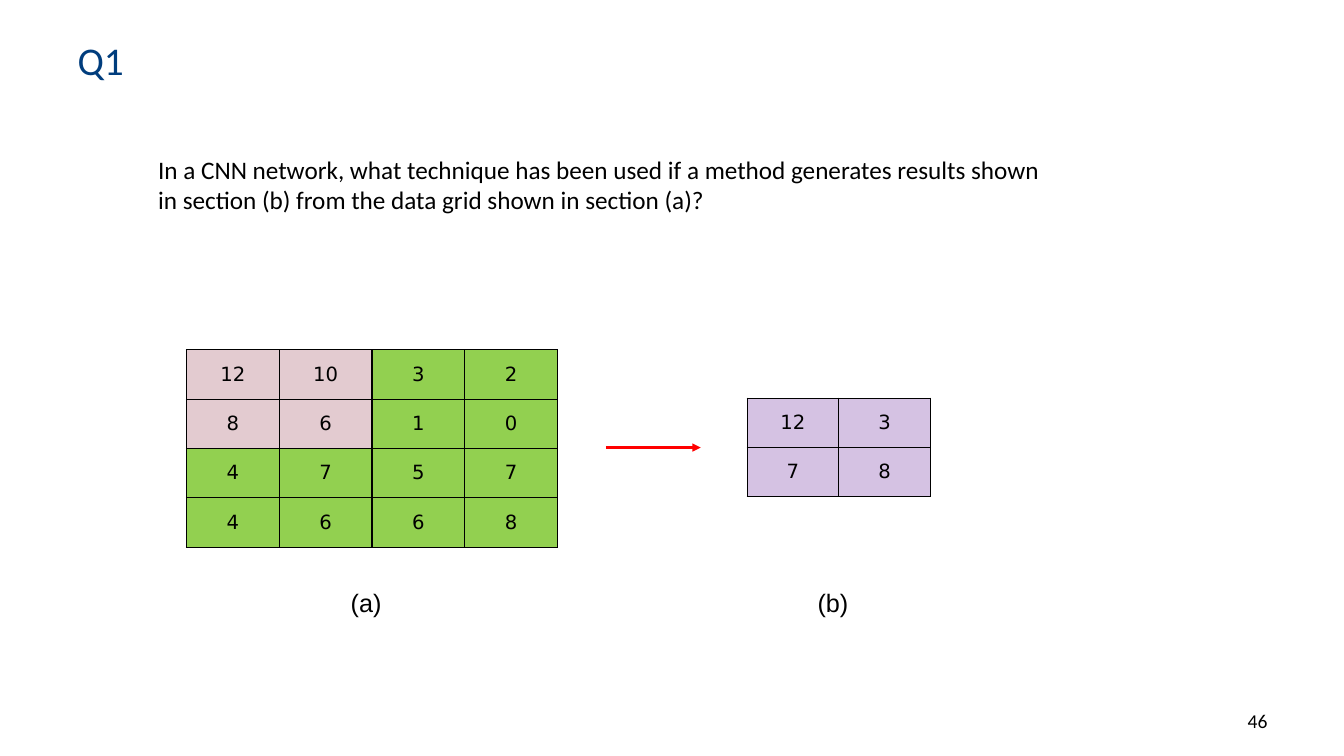
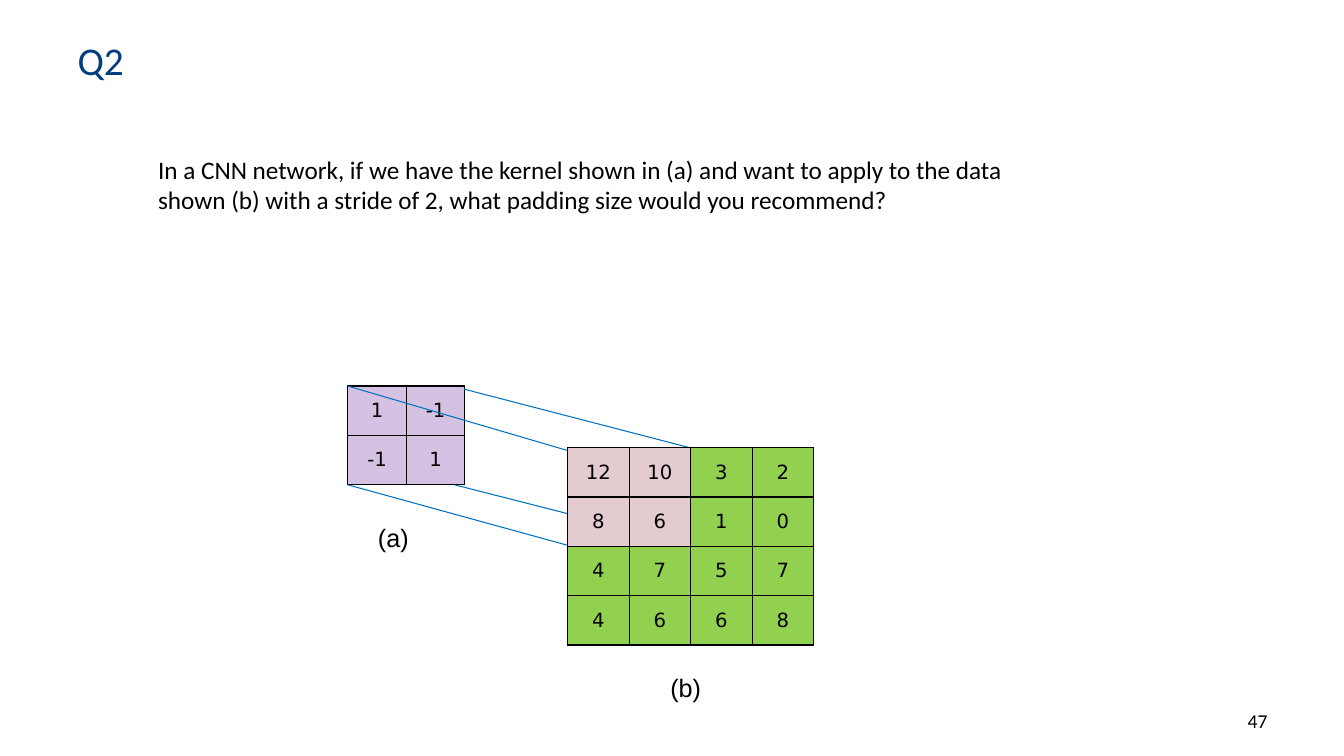
from lxml import etree
from pptx import Presentation
from pptx import util as u
from pptx.dml.color import RGBColor
from pptx.enum import shapes, text
from pptx.oxml import ns

NAVY = RGBColor(0x00, 0x3D, 0x7D)
BLACK = RGBColor(0x00, 0x00, 0x00)
RED = RGBColor(0xFF, 0x00, 0x00)
BLUE = RGBColor(0x00, 0x70, 0xC0)
PINK = RGBColor(0xE3, 0xCB, 0xD0)
GREEN = RGBColor(0x92, 0xD0, 0x50)
PURPLE = RGBColor(0x70, 0x30, 0xA0)
PURPLE_ALPHA = 29000
ROW_HEIGHT = 0.49

DATA = [[12, 10, 3, 2], [8, 6, 1, 0], [4, 7, 5, 7], [4, 6, 6, 8]]
POOLED = [[12, 3], [7, 8]]
KERNEL = [[1, -1], [-1, 1]]

# Grids: values, left, top, column width. Lines: start x, y, end x, y.
QUESTIONS = [
    {
        "title": "Q1",
        "number": "46",
        "question": "In a CNN network, what technique has been used if a method generates "
                    "results shown in section (b) from the data grid shown in section (a)?",
        "grids": [(DATA, 1.85, 3.47, 0.92), (POOLED, 7.41, 3.95, 0.91)],
        "lines": [(6.01, 4.44, 6.95, 4.44)],
        "line_style": (RED, 1.75, True),
        "captions": [("(a)", 3.38, 5.78), ("(b)", 8.01, 5.78)],
    },
    {
        "title": "Q2",
        "number": "47",
        "question": "In a CNN network, if we have the kernel shown in (a) and want to apply to "
                    "the data shown (b) with a stride of 2, what padding size would you recommend?",
        "grids": [(KERNEL, 3.45, 3.83, 0.58), (DATA, 5.63, 4.44, 0.61)],
        "lines": [
            (3.45, 3.83, 5.63, 4.47),
            (3.45, 4.81, 5.63, 5.41),
            (4.51, 4.81, 6.86, 5.41),
            (4.6, 3.86, 6.95, 4.47),
        ],
        "line_style": (BLUE, 0.75, False),
        "captions": [("(a)", 3.65, 5.13), ("(b)", 6.55, 6.62)],
    },
]


def add_text(page, words, left, top, width, height, size, font="Calibri", wrap=True):
    box = page.shapes.add_textbox(*map(u.Inches, (left, top, width, height)))
    box.text_frame.word_wrap = wrap
    para = box.text_frame.paragraphs[0]
    para.text = words
    span = para.runs[0]
    span.font.size = u.Pt(size)
    span.font.name = font
    span.font.color.rgb = BLACK
    return para


def add_grid(page, values, left, top, column_width):
    rows, columns = len(values), len(values[0])
    table = page.shapes.add_table(
        rows, columns, u.Inches(left), u.Inches(top),
        u.Inches(columns * column_width), u.Inches(rows * ROW_HEIGHT)).table
    table.first_row = table.horz_banding = False
    for row, numbers in enumerate(values):
        for column, number in enumerate(numbers):
            cell = table.cell(row, column)
            cell.vertical_anchor = text.MSO_ANCHOR.MIDDLE
            cell.margin_left = cell.margin_right = u.Inches(0.12)
            cell.margin_top = cell.margin_bottom = u.Inches(0.06)
            para = cell.text_frame.paragraphs[0]
            para.text = str(number)
            para.alignment = text.PP_ALIGN.CENTER
            span = para.runs[0]
            span.font.size = u.Pt(14)
            span.font.name = "DejaVu Sans"
            span.font.color.rgb = BLACK

            # The data grid marks its first 2 x 2 window; small grids are pale purple
            cell.fill.solid()
            properties = cell._tc.get_or_add_tcPr()
            if values is DATA:
                cell.fill.fore_color.rgb = PINK if row < 2 and column < 2 else GREEN
            else:
                cell.fill.fore_color.rgb = PURPLE
                color = properties.find(".//" + ns.qn("a:srgbClr"))
                etree.SubElement(color, ns.qn("a:alpha"), val=str(PURPLE_ALPHA))

            # Black cell borders, placed before the fill
            for place, side in enumerate(("a:lnL", "a:lnR", "a:lnT", "a:lnB")):
                border = etree.Element(ns.qn(side), w=str(u.Pt(1)))
                fill = etree.SubElement(border, ns.qn("a:solidFill"))
                etree.SubElement(fill, ns.qn("a:srgbClr"), val=str(BLACK))
                properties.insert(place, border)
    for column in table.columns:
        column.width = u.Inches(column_width)


deck = Presentation()
deck.slide_width = u.Inches(13.33)
deck.slide_height = u.Inches(7.5)

for item in QUESTIONS:
    page = deck.slides.add_slide(deck.slide_layouts[5])

    # Title
    title = page.shapes.title
    title.left, title.top = u.Inches(0.67), u.Inches(-0.03)
    title.width, title.height = u.Inches(12), u.Inches(1.25)
    title.text_frame.text = item["title"]
    title.text_frame.vertical_anchor = text.MSO_ANCHOR.MIDDLE
    para = title.text_frame.paragraphs[0]
    para.alignment = text.PP_ALIGN.LEFT
    span = para.runs[0]
    span.font.size = u.Pt(28)
    span.font.name = "Calibri"
    span.font.color.rgb = NAVY

    # Page number and question
    page_number = add_text(page, item["number"], 9.56, 6.98, 3.11, 0.37, 14)
    page_number.alignment = text.PP_ALIGN.RIGHT
    add_text(page, item["question"], 1.47, 1.48, 9.07, 0.71, 18)

    # Grid (a), the lines from it, then grid (b) on top
    first_grid, second_grid = item["grids"]
    add_grid(page, *first_grid)
    color, weight, has_arrow = item["line_style"]
    for ends in item["lines"]:
        line = page.shapes.add_connector(
            shapes.MSO_CONNECTOR.STRAIGHT, *map(u.Inches, ends))
        line.line.color.rgb = color
        line.line.width = u.Pt(weight)
        if has_arrow:
            etree.SubElement(line.line._get_or_add_ln(), ns.qn("a:tailEnd"), type="triangle")
        etree.SubElement(line._element.spPr, ns.qn("a:effectLst"))
    add_grid(page, *second_grid)

    # Captions
    for caption, left, top in item["captions"]:
        add_text(page, caption, left, top, 0.51, 0.4, 18, "Arial", wrap=False)

deck.save("out.pptx")
